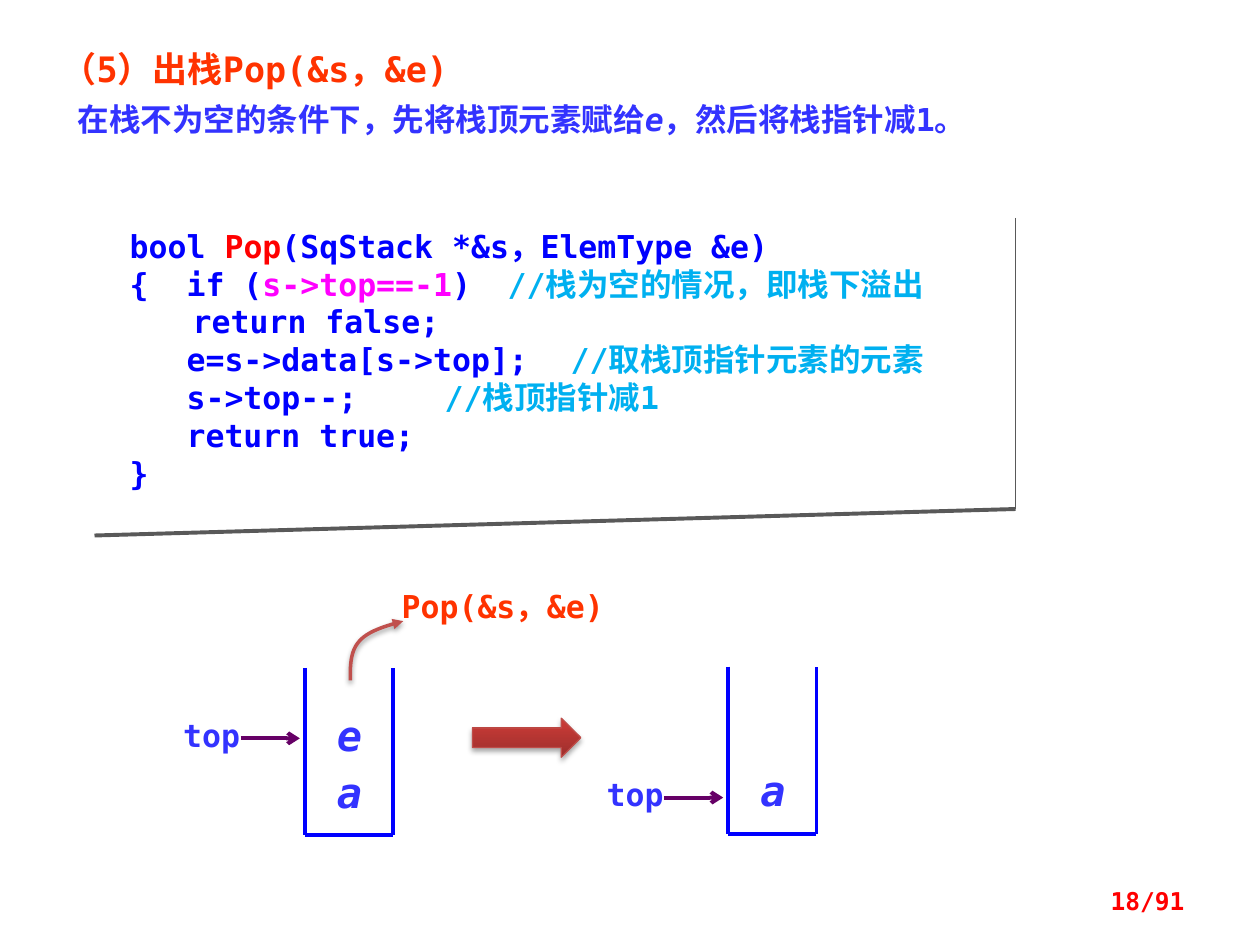
from lxml import etree
from pptx import Presentation
from pptx.dml.color import RGBColor
from pptx.enum.shapes import MSO_CONNECTOR, MSO_SHAPE
from pptx.enum.text import MSO_ANCHOR, PP_ALIGN
from pptx.oxml.ns import qn
from pptx.util import Inches, Pt

STRAIGHT = MSO_CONNECTOR.STRAIGHT
RECTANGLE, RIGHT_ARROW = MSO_SHAPE.RECTANGLE, MSO_SHAPE.RIGHT_ARROW
LEFT, CENTER, RIGHT, JUSTIFY = PP_ALIGN.LEFT, PP_ALIGN.CENTER, PP_ALIGN.RIGHT, PP_ALIGN.JUSTIFY
TOP, MIDDLE = MSO_ANCHOR.TOP, MSO_ANCHOR.MIDDLE
FONT = "DejaVu Sans Mono"
COLORS = {
    "orange": "FF3300", "indigo": "3333FF", "blue": "0000FF", "red": "FF0000",
    "magenta": "FF00FF", "cyan": "00B0F0", "purple": "660066", "brick": "C0504D",
    "arrow_dark": "9C2F2D", "arrow_light": "CE3B37", "arrow_line": "BF4C48",
    "white": "FFFFFF", "edge": "595959", "black": "000000",
}
CODE = [
    [("bool ", "blue"), ("Pop", "red"), ("(SqStack *&s，ElemType &e)", "blue")],
    [("{  if (", "blue"), ("s->top==-1", "magenta"), (")\t", "blue"),
     ("//栈为空的情况，即栈下溢出", "cyan")],
    [("\treturn false;", "blue")],
    [("   e=s->data[s->top];\t", "blue"), ("//取栈顶指针元素的元素", "cyan")],
    [("   s->top--;\t\t", "blue"), ("//栈顶指针减1", "cyan")],
    [("   return true;", "blue")],
    [("}", "blue")],
]


def color(name):
    return RGBColor.from_string(COLORS[name])


def add_run(paragraph, text, size, color_name, italic=False):
    run = paragraph.add_run()
    run.text = text
    font = run.font
    font.name, font.size, font.bold, font.italic = FONT, Pt(size), True, italic
    font.color.rgb = color(color_name)


def set_frame(text_frame, horizontal, vertical, anchor=TOP):
    text_frame.word_wrap = True
    text_frame.vertical_anchor = anchor
    text_frame.margin_left = text_frame.margin_right = Inches(horizontal)
    text_frame.margin_top = text_frame.margin_bottom = Inches(vertical)


def add_label(slide, box, text, size, color_name, align=CENTER, italic=False,
              margins=(0, 0), anchor=TOP):
    text_frame = slide.shapes.add_textbox(*map(Inches, box)).text_frame
    set_frame(text_frame, *margins, anchor)
    paragraph = text_frame.paragraphs[0]
    paragraph.alignment = align
    add_run(paragraph, text, size, color_name, italic)
    return text_frame


def add_arrowhead(line, end, kind):
    line_element = line._get_or_add_ln()
    etree.SubElement(line_element, qn(f"a:{end}"), type=kind)


def add_line(slide, start, finish, color_name, width=2.25, arrow=False):
    connector = slide.shapes.add_connector(STRAIGHT, *map(Inches, (*start, *finish)))
    connector.line.color.rgb = color(color_name)
    connector.line.width = Pt(width)
    if arrow:
        add_arrowhead(connector.line, "tailEnd", "arrow")
    etree.SubElement(connector._element.spPr, qn("a:effectLst"))


def add_shadow(shape, opacity):
    shape.shadow.inherit = False
    effects = shape._element.spPr.find(qn("a:effectLst"))
    shadow = etree.SubElement(effects, qn("a:outerShdw"), blurRad=str(Pt(3.1)),
                              dist=str(Pt(1.7)), dir="5400000", rotWithShape="0")
    shade = etree.SubElement(shadow, qn("a:srgbClr"), val=COLORS["black"])
    etree.SubElement(shade, qn("a:alpha"), val=str(opacity * 1000))


def add_heading(slide, left, top, width, height):
    text_frame = add_label(slide, (left, top, width, height), "（5）出栈Pop(&s，&e)",
                           20, "orange", JUSTIFY, margins=(0.1, 0.05))
    text_frame.paragraphs[0].line_spacing = 0.8
    paragraph = text_frame.add_paragraph()
    paragraph.alignment = JUSTIFY
    paragraph.space_before = Pt(6)
    paragraph._p.get_or_add_pPr().set("marL", str(Inches(0.13)))
    add_run(paragraph, "在栈不为空的条件下，先将栈顶元素赋给", 18, "indigo")
    add_run(paragraph, "e", 18, "indigo", italic=True)
    add_run(paragraph, "，然后将栈指针减1。", 18, "indigo")


def add_code_panel(slide, left, top, width, height):
    panel = slide.shapes.add_shape(RECTANGLE, *map(Inches, (left, top, width, height)))
    panel.shadow.inherit = False
    panel.fill.solid()
    panel.fill.fore_color.rgb = color("white")
    panel.line.fill.background()
    text_frame = panel.text_frame
    set_frame(text_frame, 0.16, 0.16)
    for index, line in enumerate(CODE):
        paragraph = text_frame.add_paragraph() if index else text_frame.paragraphs[0]
        paragraph.alignment = LEFT
        for text, color_name in line:
            add_run(paragraph, text, 18, color_name)
    corner = (left + 7.19, top + 2.4)
    add_line(slide, (left - 0.12, top + 2.61), corner, "edge", 2.25)
    add_line(slide, (corner[0], top + 0.09), corner, "edge", 0.75)


def add_stack(slide, left, top, elements, pointer):
    width, height = 0.7, 1.33
    right, bottom = left + width, top + height
    corners = [(left, top), (left, bottom), (right, bottom), (right, top)]
    for start, finish in zip(corners, corners[1:]):
        add_line(slide, start, finish, "blue")
    for index, element in enumerate(reversed(elements)):
        add_label(slide, (left + 0.04, top + 0.78 - 0.45 * index, 0.63, 0.4),
                  element, 24, "indigo", italic=True)
    pointer_y = top + pointer
    add_label(slide, (left - 1.21, pointer_y - 0.18, 0.94, 0.3), "top", 18, "indigo")
    add_line(slide, (left - 0.51, pointer_y), (left - 0.04, pointer_y), "purple", arrow=True)


def add_pop_curve(slide, left, top, width, height):
    controls = [(1, 0), (0.67, 0.08), (0.33, 0.17), (0.17, 0.34),
                (0, 0.51), (0, 0.74), (0, 1)]
    points = []
    for first in (0, 3):
        for step in range(13):
            t = step / 12
            weights = ((1 - t) ** 3, 3 * t * (1 - t) ** 2, 3 * t * t * (1 - t), t ** 3)
            x, y = (sum(w * point[axis] for w, point in zip(weights, controls[first:]))
                    for axis in (0, 1))
            points.append((Inches(left + width * x), Inches(top + height * y)))
    builder = slide.shapes.build_freeform(*points[0])
    builder.add_line_segments(points[1:], close=False)
    curve = builder.convert_to_shape()
    curve.fill.background()
    curve.line.color.rgb = color("brick")
    curve.line.width = Pt(2)
    add_arrowhead(curve.line, "headEnd", "triangle")
    add_shadow(curve, 38)


def add_step_arrow(slide, left, top, width, height):
    arrow = slide.shapes.add_shape(RIGHT_ARROW, *map(Inches, (left, top, width, height)))
    arrow.fill.gradient()
    arrow.fill.gradient_angle = 90
    for stop, name in zip(arrow.fill.gradient_stops, ("arrow_dark", "arrow_light")):
        stop.color.rgb = color(name)
    arrow.line.color.rgb = color("arrow_line")
    arrow.line.width = Pt(0.75)
    add_shadow(arrow, 35)


def main():
    presentation = Presentation()
    presentation.slide_width, presentation.slide_height = Inches(10), Inches(7.5)
    slide = presentation.slides.add_slide(presentation.slide_layouts[6])
    add_heading(slide, 0.39, 0.39, 9.23, 0.79)
    add_code_panel(slide, 0.87, 1.64, 7.73, 2.48)
    add_pop_curve(slide, 2.78, 4.93, 0.42, 0.47)
    add_stack(slide, 2.42, 5.3, ["e", "a"], 0.56)
    add_step_arrow(slide, 3.75, 5.7, 0.86, 0.31)
    add_stack(slide, 5.78, 5.29, ["a"], 1.04)
    add_label(slide, (3.05, 4.61, 1.88, 0.4), "Pop(&s，&e)", 18, "orange",
              margins=(0.1, 0.05))
    add_label(slide, (7.17, 6.95, 2.33, 0.4), "18/91", 14, "red", RIGHT,
              margins=(0.1, 0.05), anchor=MIDDLE)
    presentation.save("out.pptx")


if __name__ == "__main__":
    main()
